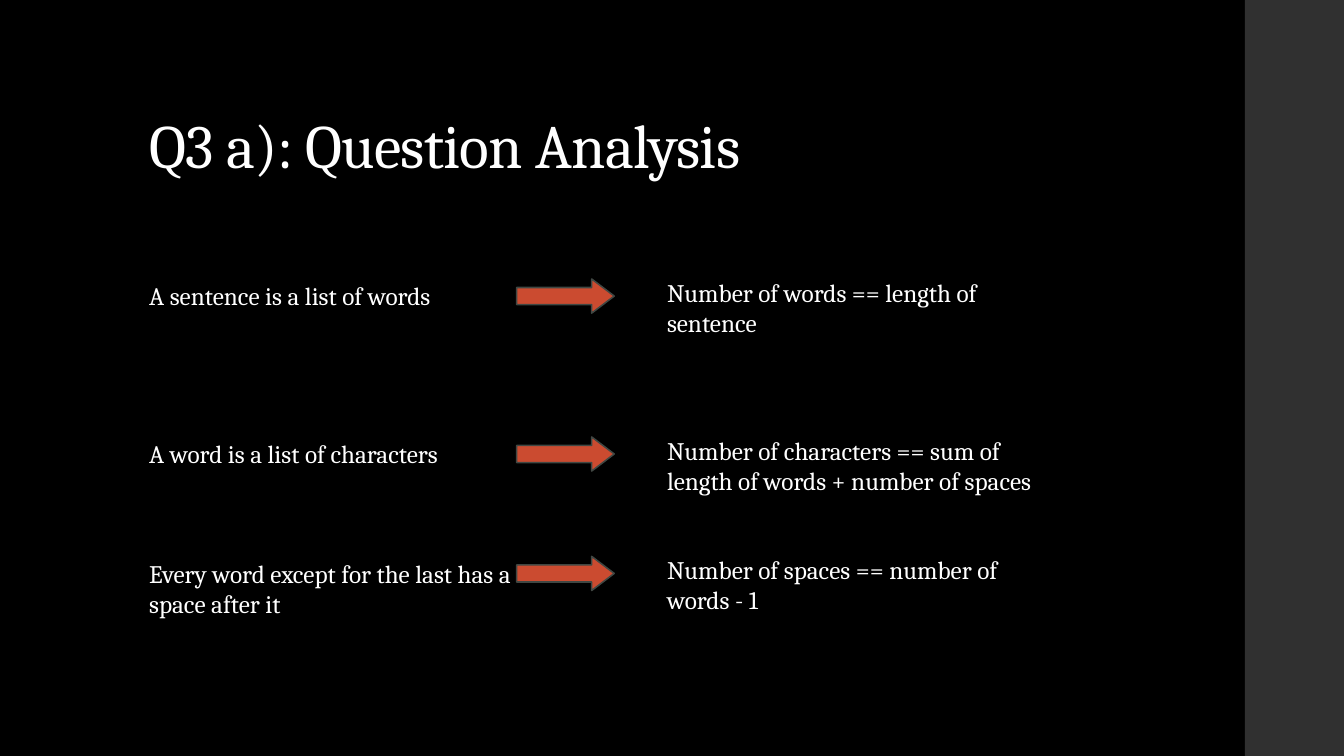
from pptx import Presentation
from pptx import util as u
from pptx.dml import color
from pptx.enum import shapes, text

COLORS = {"background": "000000", "band": "303030", "text": "FFFFFF",
          "arrow": "CB4B30", "outline": "404743"}


def write(shape, words, size):
    frame = shape.text_frame
    frame.word_wrap = True
    paragraph = frame.paragraphs[0]
    paragraph.alignment = text.PP_ALIGN.LEFT
    run = paragraph.add_run()
    run.text = words
    run.font.name = "Cambria"
    run.font.size = u.Pt(size)
    run.font.color.rgb = color.RGBColor.from_string(COLORS["text"])
    return paragraph, run


def add_filled(kind, left, top, width, height, fill):
    shape = slide.shapes.add_shape(kind, u.Cm(left), u.Cm(top), u.Cm(width), u.Cm(height))
    shape.shadow.inherit = False
    shape.fill.solid()
    shape.fill.fore_color.rgb = color.RGBColor.from_string(COLORS[fill])
    return shape


presentation = Presentation()
presentation.slide_width = u.Cm(33.87)
presentation.slide_height = u.Cm(19.05)
slide = presentation.slides.add_slide(presentation.slide_layouts[5])
slide.background.fill.solid()
slide.background.fill.fore_color.rgb = color.RGBColor.from_string(COLORS["background"])

band = add_filled(shapes.MSO_SHAPE.RECTANGLE, 31.37, 0, 2.5, 19.05, "band")
band.line.fill.background()

title = slide.shapes.title
title.left, title.top = u.Cm(3.51), u.Cm(1.02)
title.width, title.height = u.Cm(26.92), u.Cm(3.68)
title.text_frame.auto_size = text.MSO_AUTO_SIZE.NONE
title.text_frame.vertical_anchor = text.MSO_ANCHOR.BOTTOM
paragraph, run = write(title, "Q3 a): Question Analysis", 44)
paragraph.line_spacing = 0.9
run.font._element.set("spc", "-50")

rows = [
    (6.95, "A sentence is a list of words", 1.02,
     "Number of words == length of sentence", 1.8),
    (10.93, "A word is a list of characters", 1.02,
     "Number of characters == sum of length of words + number of spaces", 2.57),
    (13.94, "Every word except for the last has a space after it", 1.8,
     "Number of spaces == number of words - 1", 1.8),
]
for top, fact, fact_height, result, result_height in rows:
    for left, box_top, words, height in ((3.51, top, fact, fact_height),
                                         (16.56, top - 0.09, result, result_height)):
        box = slide.shapes.add_textbox(u.Cm(left), u.Cm(box_top), u.Cm(9.8), u.Cm(height))
        write(box, words, 18)
        box.text_frame.auto_size = text.MSO_AUTO_SIZE.SHAPE_TO_FIT_TEXT

    arrow = add_filled(shapes.MSO_SHAPE.DOWN_ARROW, 13.82, top - 0.72, 0.86, 2.46, "arrow")
    arrow.rotation = 270
    arrow.adjustments[0] = 0.5
    arrow.adjustments[1] = 0.66
    arrow.line.color.rgb = color.RGBColor.from_string(COLORS["outline"])
    arrow.line.width = u.Pt(1.1)

presentation.save("out.pptx")
